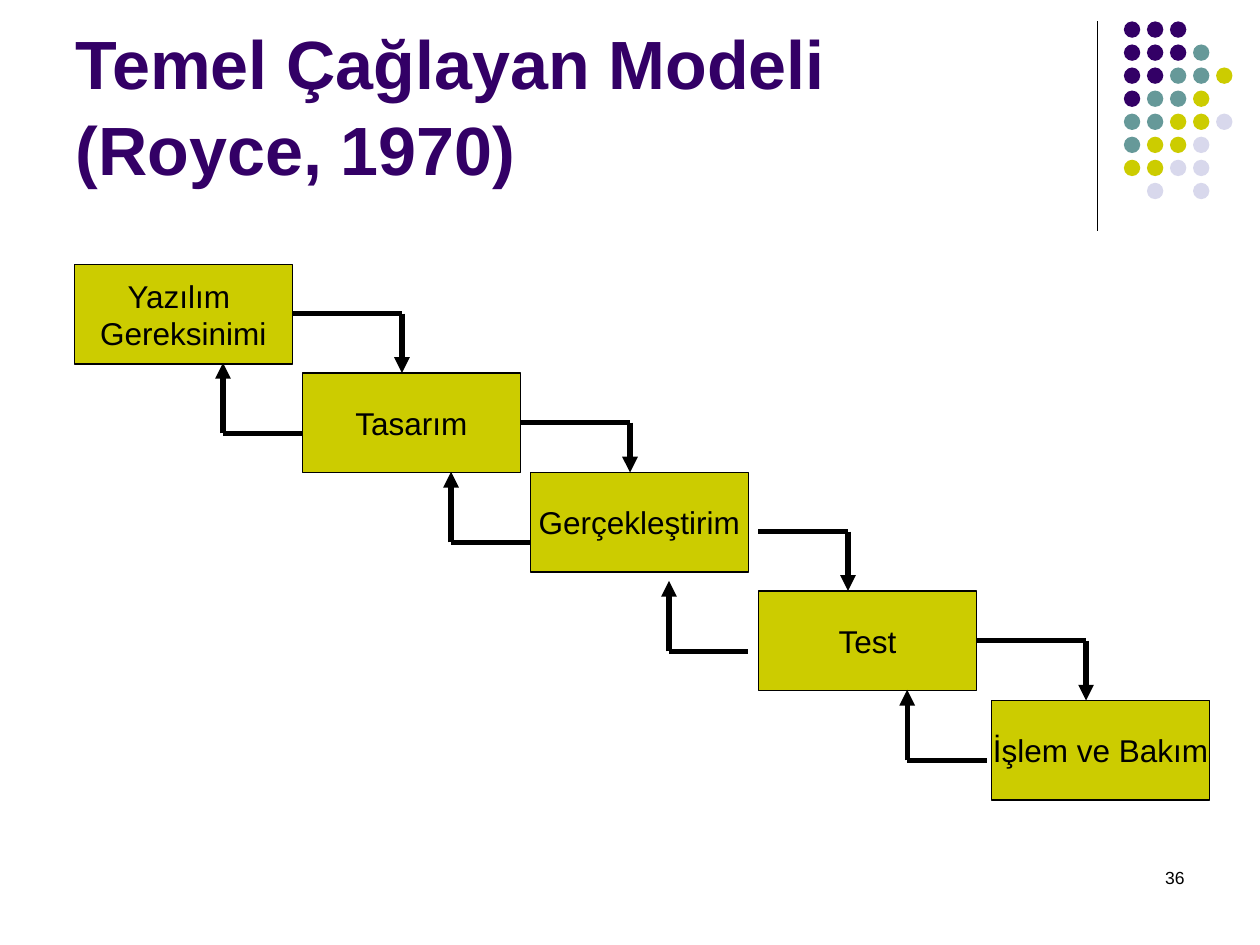
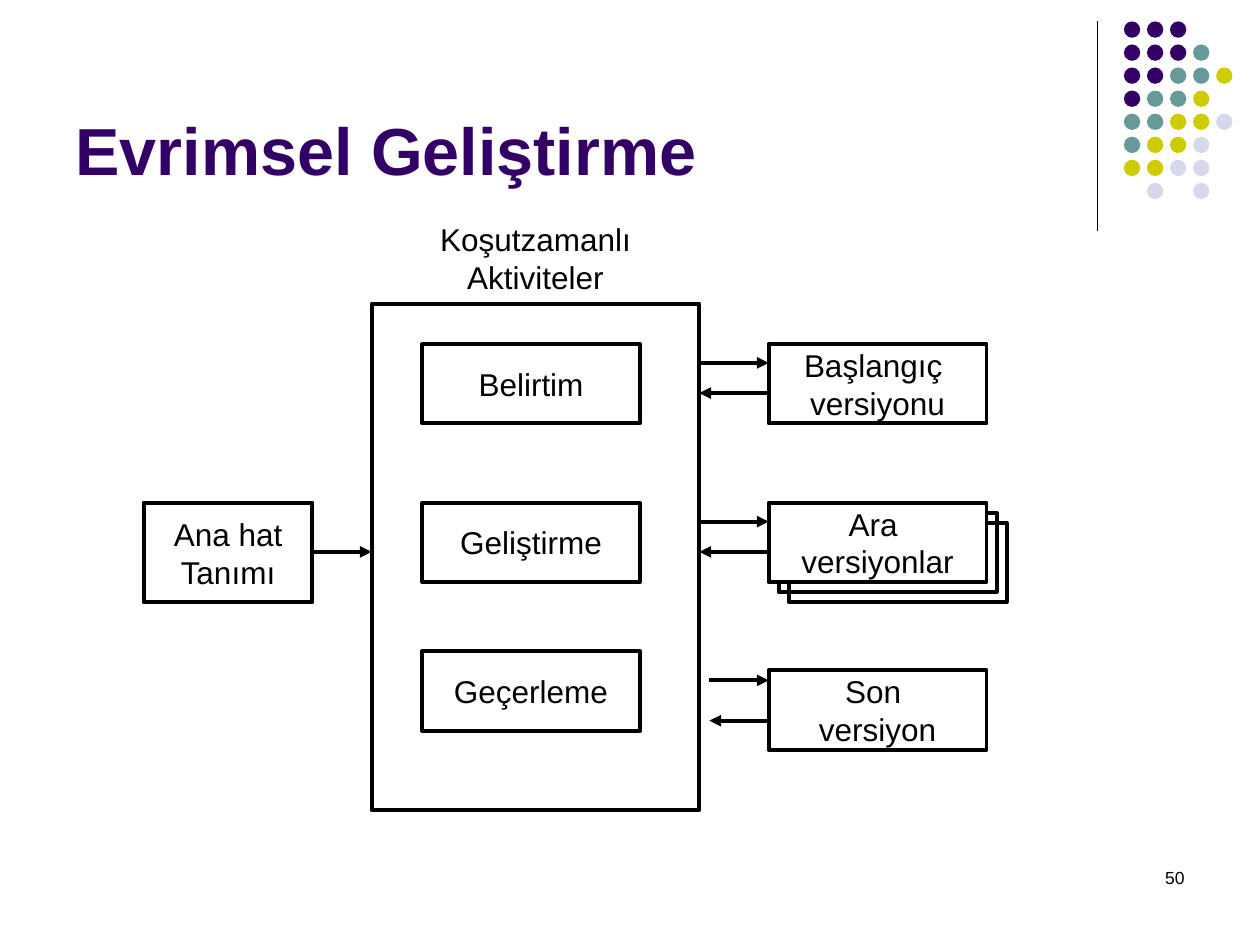
"""Build two slides on software process models: waterfall and evolutionary development."""
import dataclasses

import pptx
import pptx.dml.color
import pptx.enum.shapes
import pptx.enum.text
import pptx.oxml
import pptx.oxml.ns
import pptx.util

Inches = pptx.util.Inches
Pt = pptx.util.Pt
RGBColor = pptx.dml.color.RGBColor
Align = pptx.enum.text.PP_ALIGN
Anchor = pptx.enum.text.MSO_ANCHOR
Shape = pptx.enum.shapes.MSO_SHAPE


@dataclasses.dataclass(frozen=True)
class Theme:
    font: str = "Arial"
    ink: str = "000000"
    paper: str = "FFFFFF"
    purple: str = "330066"
    teal: str = "669999"
    lime: str = "CCCC00"
    lilac: str = "D8D8EC"
    body_size: float = 18
    number_size: float = 10
    thin: float = 0.74
    medium: float = 2.24
    thick: float = 3


THEME = Theme()

DOT_ROWS = ["PPP..", "PPPT.", "PPTTY", "PTTY.", "TTYYL", "TYYL.", "YYLL.", ".L.L."]
DOT_COLORS = {"P": THEME.purple, "T": THEME.teal, "Y": THEME.lime, "L": THEME.lilac}
DOT_ORIGIN, DOT_PITCH, DOT_SIZE = (8.92, 0.17), 0.183, 0.13

WATERFALL = {"title": "Temel Çağlayan Modeli (Royce, 1970)", "size": 39, "number": "36"}
STEP_SIZE = (1.73, 0.79)
STEPS = [
    ("Yazılım \nGereksinimi", 0.59, 2.1),
    ("Tasarım", 2.4, 2.96),
    ("Gerçekleştirim", 4.21, 3.75),
    ("Test", 6.02, 4.69),
    ("İşlem ve Bakım", 7.87, 5.56),
]
RETURN_TURNS = [1.77, 3.58, 5.31, 7.2]
FORWARD_RUNS = [0.87, 0.87, 0.71, 0.87]
FIRST_LEVEL, LEVEL_STEP = 2.49, 0.865
FORWARD_SHIFT, RETURN_DROP, RETURN_RUN, RETURN_RISE = 1.42, 0.95, 0.63, 0.56

EVOLUTION = {"title": "Evrimsel Geliştirme", "size": 38, "number": "50"}
CARD_SIZE = (1.73, 0.63)
OUTLINE = ("Ana hat\nTanımı", (1.14, 3.99, 1.34, 0.79))
FRAME = (2.95, 2.41, 2.6, 4.02)
FRAME_LABEL = ("Koşutzamanlı Aktiviteler", (3.11, 1.7, 2.28, 0.7))
ACTIVITY_LEFT, VERSION_LEFT = 3.35, 6.1
ACTIVITIES = [("Belirtim", 2.73), ("Geliştirme", 3.99), ("Geçerleme", 5.17)]
VERSIONS = [("Başlangıç \nversiyonu", 2.73), ("Ara \nversiyonlar", 3.99), ("Son \nversiyon", 5.32)]
EXCHANGES = [(5.55, 2.88, 3.12), (5.55, 4.14, 4.38), (5.63, 5.4, 5.72)]
STACKED_VERSION, STACK_OFFSETS = 1, (0.16, 0.08)


def color(value):
    return RGBColor.from_string(value)


def format_text(frame, size, ink=THEME.ink, align=Align.CENTER, bold=False):
    for para in frame.paragraphs:
        para.alignment = align
        for span in para.runs:
            span.font.name = THEME.font
            span.font.size = Pt(size)
            span.font.bold = bold
            span.font.color.rgb = color(ink)


def add_box(page, place, text="", fill=None, width=THEME.medium):
    box = page.shapes.add_shape(Shape.RECTANGLE, *map(Inches, place))
    box.shadow.inherit = False
    if fill:
        box.fill.solid()
        box.fill.fore_color.rgb = color(fill)
    else:
        box.fill.background()
    box.line.color.rgb = color(THEME.ink)
    box.line.width = Pt(width)
    if text:
        box.text_frame.text = text
        box.text_frame.word_wrap = False
        box.text_frame.vertical_anchor = Anchor.MIDDLE
        format_text(box.text_frame, THEME.body_size)
    return box


def add_label(page, text, place, size, align):
    label = page.shapes.add_textbox(*map(Inches, place))
    label.text_frame.word_wrap = True
    label.text_frame.text = text
    format_text(label.text_frame, size, align=align)


def add_line(page, start, end, width, arrow=False):
    line = page.shapes.add_connector(
        pptx.enum.shapes.MSO_CONNECTOR.STRAIGHT, *map(Inches, (*start, *end)))
    line.line.color.rgb = color(THEME.ink)
    line.line.width = Pt(width)
    namespace = pptx.oxml.ns.nsdecls("a")
    if arrow:
        line.line._get_or_add_ln().append(
            pptx.oxml.parse_xml(f'<a:tailEnd {namespace} type="triangle"/>'))
    line.element.spPr.append(pptx.oxml.parse_xml(f"<a:effectLst {namespace}/>"))
    return line


def design_layout(layout, page):
    title = layout.placeholders[0]
    title.left, title.top, title.width, title.height = map(Inches, (0.5, 0.13, 8.25, 1.42))
    title.text_frame.vertical_anchor = Anchor.BOTTOM
    title.text_frame.auto_size = pptx.enum.text.MSO_AUTO_SIZE.NONE

    rule = add_line(page, (8.71, 0.17), (8.71, 1.83), THEME.thin)
    dots = page.shapes.add_group_shape()
    for row, marks in enumerate(DOT_ROWS):
        for column, mark in enumerate(marks):
            if mark in DOT_COLORS:
                left = DOT_ORIGIN[0] + column * DOT_PITCH
                top = DOT_ORIGIN[1] + row * DOT_PITCH
                dot = dots.shapes.add_shape(
                    Shape.OVAL, *map(Inches, (left, top, DOT_SIZE, DOT_SIZE)))
                dot.shadow.inherit = False
                dot.fill.solid()
                dot.fill.fore_color.rgb = color(DOT_COLORS[mark])
                dot.line.fill.background()
    for part in (rule, dots):
        layout.element.cSld.spTree.append(part.element)


def add_heading(page, content):
    title = page.shapes.title.text_frame
    title.text = content["title"]
    title.paragraphs[0].line_spacing = 1.05
    format_text(title, content["size"], THEME.purple, Align.LEFT, True)
    add_label(page, content["number"], (7.17, 6.83, 2.33, 0.5), THEME.number_size, Align.RIGHT)


def draw_waterfall(page):
    for text, left, top in STEPS:
        add_box(page, (left, top, *STEP_SIZE), text, THEME.lime, THEME.thin)
    for index, (turn, run) in enumerate(zip(RETURN_TURNS, FORWARD_RUNS)):
        level = FIRST_LEVEL + index * LEVEL_STEP
        next_top = STEPS[index + 1][2]
        ahead = (turn + FORWARD_SHIFT, level)
        back = (turn, level + RETURN_DROP)
        add_line(page, ahead, (ahead[0], next_top), THEME.thick, True)
        add_line(page, ahead, (ahead[0] - run, level), THEME.thick)
        add_line(page, back, (turn + RETURN_RUN, back[1]), THEME.thick)
        add_line(page, back, (turn, back[1] - RETURN_RISE), THEME.thick, True)


def draw_evolution(page):
    for offset in STACK_OFFSETS:
        top = VERSIONS[STACKED_VERSION][1]
        add_box(page, (VERSION_LEFT + offset, top + offset, *CARD_SIZE))
    add_box(page, OUTLINE[1], OUTLINE[0])
    add_box(page, FRAME)
    for text, top in ACTIVITIES:
        add_box(page, (ACTIVITY_LEFT, top, *CARD_SIZE), text)
    for index, (text, top) in enumerate(VERSIONS):
        fill = THEME.paper if index == STACKED_VERSION else None
        add_box(page, (VERSION_LEFT, top, *CARD_SIZE), text, fill)
    add_label(page, *FRAME_LABEL, THEME.body_size, Align.CENTER)
    add_line(page, (2.48, 4.38), (FRAME[0], 4.38), THEME.medium, True)
    for left, out, back in EXCHANGES:
        add_line(page, (left, out), (VERSION_LEFT, out), THEME.medium, True)
        add_line(page, (VERSION_LEFT, back), (left, back), THEME.medium, True)


deck = pptx.Presentation()
deck.slide_width, deck.slide_height = Inches(10), Inches(7.5)
title_only = deck.slide_layouts[5]
pages = [deck.slides.add_slide(title_only) for _ in range(2)]
design_layout(title_only, pages[0])
for page, content, draw in zip(pages, (WATERFALL, EVOLUTION), (draw_waterfall, draw_evolution)):
    add_heading(page, content)
    draw(page)
deck.save("out.pptx")
